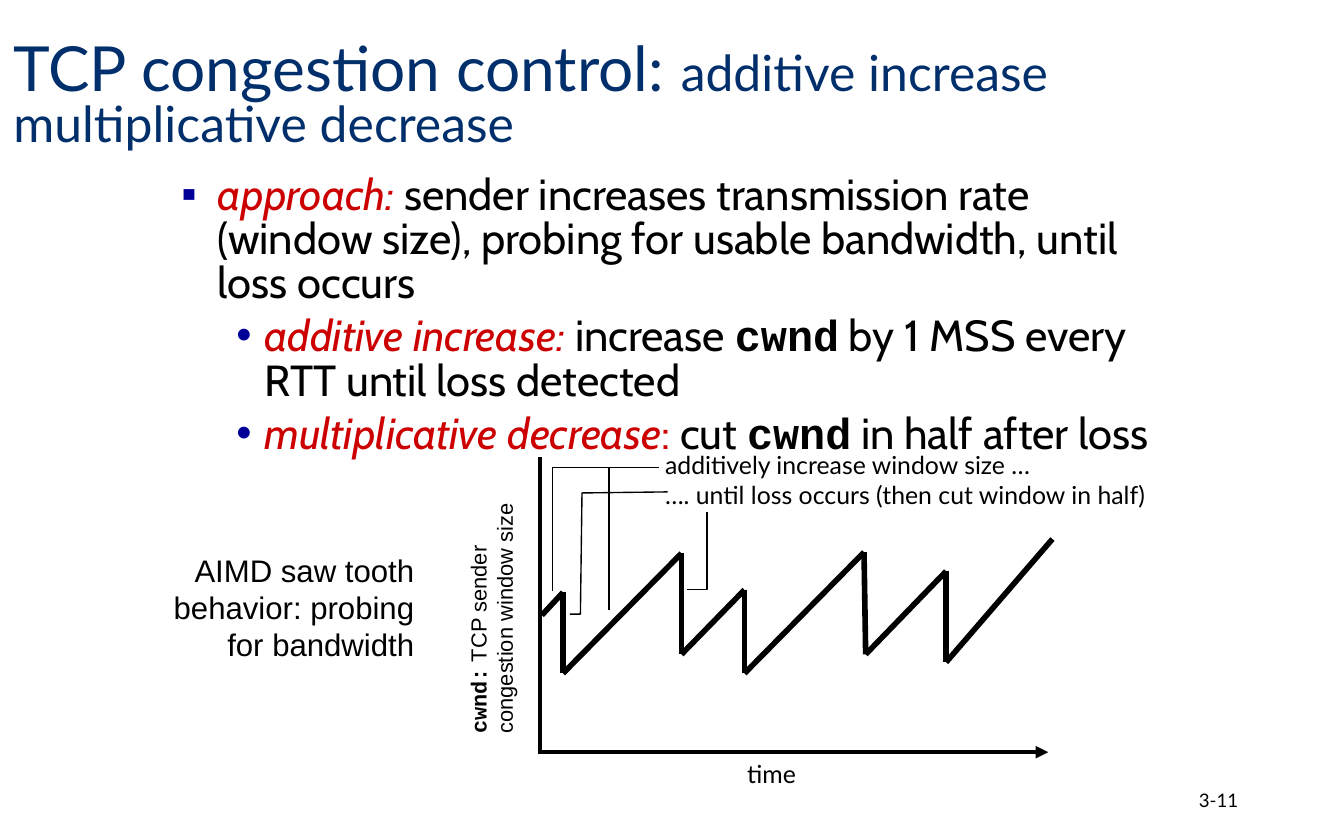
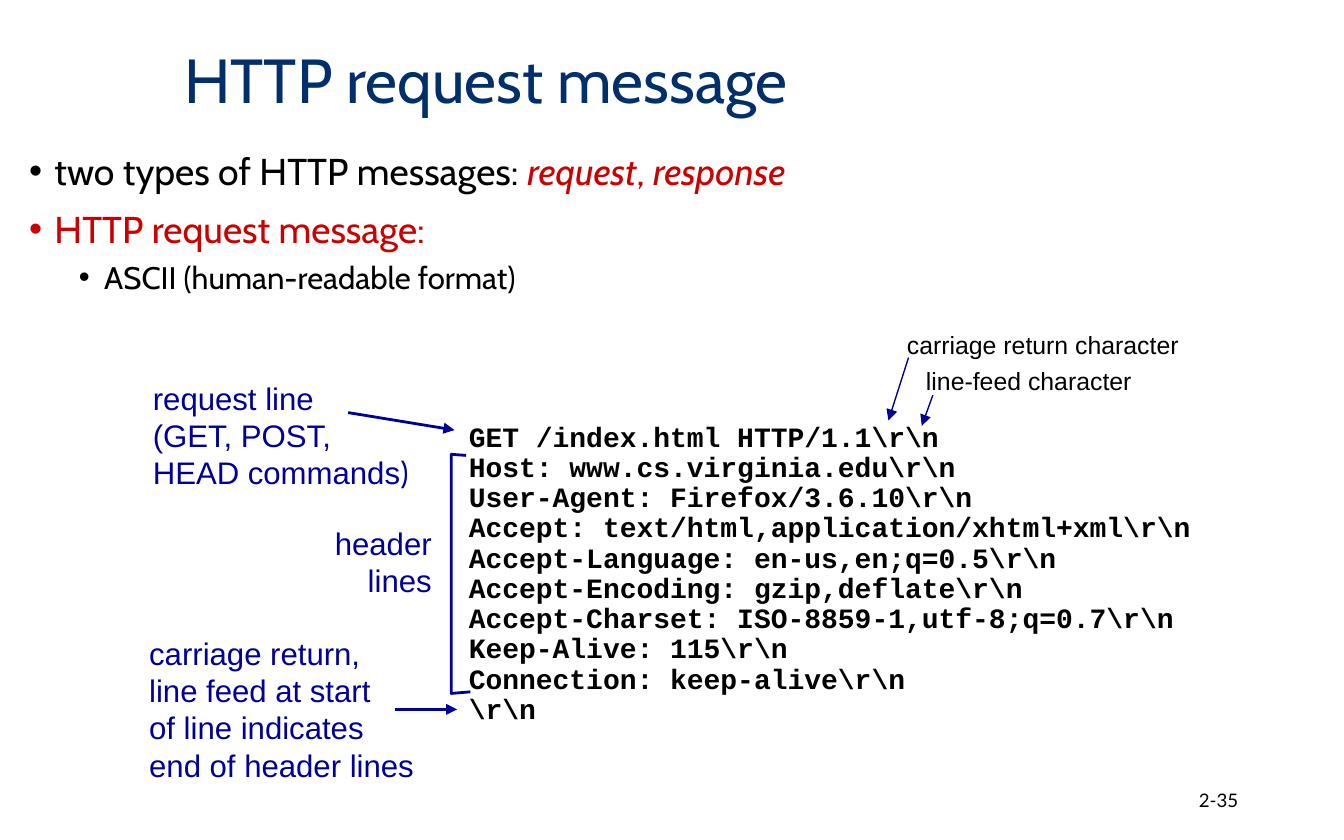
from dataclasses import dataclass, replace
from itertools import pairwise
from typing import NamedTuple

from lxml.etree import SubElement
from pptx import Presentation
from pptx.dml.color import RGBColor
from pptx.enum.shapes import MSO_CONNECTOR
from pptx.enum.text import MSO_ANCHOR, MSO_AUTO_SIZE, PP_ALIGN
from pptx.oxml.ns import qn
from pptx.util import Cm, Pt


# Theme
@dataclass(frozen=True)
class Theme:
    black: RGBColor = RGBColor(0x00, 0x00, 0x00)
    white: RGBColor = RGBColor(0xFF, 0xFF, 0xFF)
    navy: RGBColor = RGBColor(0x00, 0x2F, 0x6C)
    blue: RGBColor = RGBColor(0x00, 0x00, 0x99)
    red: RGBColor = RGBColor(0xCC, 0x00, 0x00)
    heading: str = "Lato"
    body: str = "Cabin"
    label: str = "Arial"
    code: str = "Courier New"
    title_size: float = 33.3
    subtitle_size: float = 26.7
    approach_size: float = 23.3
    body_size: float = 20
    note_size: float = 16.7
    code_size: float = 15
    label_size: float = 13.3
    axis_size: float = 11.7
    number_size: float = 10
    thin: float = 0.75
    medium: float = 1.5
    axis: float = 2.25
    thick: float = 3


THEME = Theme()


# Text and drawing records
@dataclass(frozen=True)
class Style:
    font: str
    size: float
    color: RGBColor = THEME.black
    bold: bool = False
    italic: bool = False


class Run(NamedTuple):
    text: str
    style: Style


class Bullet(NamedTuple):
    character: str
    left: float
    hanging: float
    level: int = 0
    color: RGBColor | None = None


@dataclass(frozen=True)
class Line:
    runs: tuple[Run, ...]
    bullet: Bullet | None = None
    spacing: float = 1.0
    before: float = 0
    align: PP_ALIGN = PP_ALIGN.LEFT


class Box(NamedTuple):
    left: float
    top: float
    width: float
    height: float


class Point(NamedTuple):
    x: float
    y: float


class Label(NamedTuple):
    box: Box
    lines: list[Line]


class Arrow(NamedTuple):
    start: Point
    end: Point
    width: float


# Text styles
TITLE = Style(THEME.heading, THEME.title_size, THEME.navy)
SUBTITLE = replace(TITLE, size=THEME.subtitle_size)
APPROACH = Style(THEME.body, THEME.approach_size)
APPROACH_TERM = replace(APPROACH, color=THEME.red, italic=True)
APPROACH_CODE = replace(APPROACH, font=THEME.code, bold=True)
BODY = Style(THEME.body, THEME.body_size)
BODY_RED = replace(BODY, color=THEME.red)
BODY_TERM = replace(BODY_RED, italic=True)
NOTE = Style(THEME.label, THEME.note_size)
NOTE_BLUE = replace(NOTE, color=THEME.blue)
CODE = Style(THEME.code, THEME.code_size, bold=True)
CHART_LABEL = Style(THEME.heading, THEME.label_size)
CALLOUT = Style(THEME.label, THEME.label_size)
AXIS = Style(THEME.label, THEME.axis_size)
NUMBER = Style(THEME.heading, THEME.number_size)


# Text helpers
def plain_lines(text: str, style: Style, align: PP_ALIGN = PP_ALIGN.LEFT,
                spacing: float = 1.0) -> list[Line]:
    return [Line((Run(row, style),), align=align, spacing=spacing) for row in text.split("\n")]


def add_bullet(paragraph, bullet: Bullet) -> None:
    paragraph.level = bullet.level
    properties = paragraph._p.get_or_add_pPr()
    properties.set("marL", str(Cm(bullet.left)))
    properties.set("indent", str(-Cm(bullet.hanging)))
    if bullet.color is not None:
        color = SubElement(properties, qn("a:buClr"))
        SubElement(color, qn("a:srgbClr")).set("val", str(bullet.color))
    SubElement(properties, qn("a:buFont")).set("typeface", THEME.label)
    SubElement(properties, qn("a:buChar")).set("char", bullet.character)


def write(frame, lines: list[Line]) -> None:
    for index, line in enumerate(lines):
        paragraph = frame.add_paragraph() if index else frame.paragraphs[0]
        if line.bullet:
            add_bullet(paragraph, line.bullet)
        paragraph.alignment = line.align
        paragraph.line_spacing = line.spacing
        paragraph.space_before = Pt(line.before if index else 0)
        for text, style in line.runs:
            run = paragraph.add_run()
            run.text = text
            run.font.name = style.font
            run.font.size = Pt(style.size)
            run.font.color.rgb = style.color
            run.font.bold = style.bold
            run.font.italic = style.italic


def add_text(slide, box: Box, lines: list[Line], wrap: bool = False):
    shape = slide.shapes.add_textbox(*map(Cm, box))
    frame = shape.text_frame
    frame.word_wrap = wrap
    frame.auto_size = MSO_AUTO_SIZE.NONE if wrap else MSO_AUTO_SIZE.SHAPE_TO_FIT_TEXT
    write(frame, lines)
    return shape


# Line helpers
def add_line(slide, start: Point, end: Point, width: float,
             color: RGBColor = THEME.black, arrow: bool = False) -> None:
    connector = slide.shapes.add_connector(MSO_CONNECTOR.STRAIGHT, *map(Cm, (*start, *end)))
    connector.line.color.rgb = color
    connector.line.width = Pt(width)
    if arrow:
        SubElement(connector.line._get_or_add_ln(), qn("a:tailEnd")).set("type", "triangle")
    SubElement(connector._element.spPr, qn("a:effectLst"))


def add_polyline(slide, points: list[Point], width: float, color: RGBColor = THEME.black) -> None:
    start, *others = [(Cm(x), Cm(y)) for x, y in points]
    builder = slide.shapes.build_freeform(*start)
    builder.add_line_segments(others, close=False)
    shape = builder.convert_to_shape()
    shape.shadow.inherit = False
    shape.fill.background()
    shape.line.color.rgb = color
    shape.line.width = Pt(width)


# Shared slide frame: title and page number
def add_slide(presentation, box: Box, title: Line, number: str):
    slide = presentation.slides.add_slide(presentation.slide_layouts[5])
    shape = slide.shapes.title
    shape.left, shape.top, shape.width, shape.height = map(Cm, box)
    frame = shape.text_frame
    frame.word_wrap = True
    frame.auto_size = MSO_AUTO_SIZE.NONE
    frame.vertical_anchor = MSO_ANCHOR.MIDDLE
    write(frame, [title])
    page = add_text(slide, Box(17.93, 14.71, 5.72, 0.84),
                    plain_lines(number, NUMBER, PP_ALIGN.RIGHT), wrap=True)
    page.text_frame.vertical_anchor = MSO_ANCHOR.MIDDLE
    return slide


def build_congestion_slide(presentation) -> None:
    title = Line((Run("TCP congestion control: ", TITLE),
                  Run("additive increase multiplicative decrease", SUBTITLE)), spacing=0.8)
    slide = add_slide(presentation, Box(0, 0.53, 22.22, 2.64), title, "3-11")

    # Approach
    square = Bullet("▪", 0.69, 0.69, color=THEME.blue)
    dot = Bullet("•", 1.57, 0.53, level=1, color=THEME.blue)
    approach = [
        (square, (Run("approach: ", APPROACH_TERM),
                  Run("sender increases transmission rate (window size), "
                      "probing for usable bandwidth, until loss occurs", APPROACH))),
        (dot, (Run("additive increase:", APPROACH_TERM), Run(" increase ", APPROACH),
               Run("cwnd", APPROACH_CODE),
               Run(" by 1 MSS every RTT until loss detected", APPROACH))),
        (dot, (Run("multiplicative decrease", APPROACH_TERM),
               Run(":", replace(APPROACH_TERM, italic=False)), Run(" cut ", APPROACH),
               Run("cwnd", APPROACH_CODE), Run(" in half after loss", APPROACH))),
    ]
    add_text(slide, Box(3.18, 3.18, 19.38, 3.35),
             [Line(runs, bullet, spacing=0.85, before=4.7) for bullet, runs in approach], wrap=True)

    # Axes and their labels
    axis_title = add_text(slide, Box(6.83, 11.05, 4.9, 1.24), [
        Line((Run("cwnd:", replace(AXIS, font=THEME.code, bold=True)), Run(" TCP sender", AXIS))),
        *plain_lines("congestion window size", AXIS),
    ])
    axis_title.rotation = 270
    axis_title.fill.solid()
    axis_title.fill.fore_color.rgb = THEME.white
    add_text(slide, Box(2.97, 10.29, 5.11, 2.39),
             plain_lines("AIMD saw tooth\nbehavior: probing\nfor bandwidth", NOTE, PP_ALIGN.RIGHT))
    add_line(slide, Point(10.24, 14.22), Point(19.81, 14.22), THEME.axis, arrow=True)
    add_line(slide, Point(10.21, 8.64), Point(10.21, 14.25), THEME.axis)
    add_text(slide, Box(13.87, 14.22, 1.6, 0.84), plain_lines("time", CHART_LABEL))

    # Saw tooth
    window_sizes = [
        Point(10.24, 11.63), Point(10.64, 11.2), Point(10.64, 12.73), Point(12.88, 10.46),
        Point(12.88, 12.37), Point(14.07, 11.15), Point(14.07, 12.73), Point(16.33, 10.44),
        Point(16.36, 12.37), Point(17.88, 10.8), Point(17.88, 12.52), Point(19.89, 10.19),
    ]
    for start, end in pairwise(window_sizes):
        add_line(slide, start, end, THEME.thick)

    # Phase labels and leaders
    add_text(slide, Box(12.32, 8.38, 9.96, 1.4),
             plain_lines("additively increase window size …\n"
                         "…. until loss occurs (then cut window in half)", CHART_LABEL))
    leaders = [
        [Point(12.45, 8.84), Point(10.44, 8.84), Point(10.44, 11.18)],
        [Point(12.62, 9.3), Point(11, 9.32), Point(10.97, 11.61), Point(10.77, 11.61)],
        [Point(12.45, 8.84), Point(11.51, 8.84), Point(11.51, 11.53)],
        [Point(13.36, 9.68), Point(13.36, 11.15), Point(12.98, 11.15)],
    ]
    for leader in leaders:
        add_polyline(slide, leader, THEME.thin)


def build_request_slide(presentation) -> None:
    title = Line((Run("HTTP request message", replace(TITLE, font=THEME.body)),), spacing=0.9)
    slide = add_slide(presentation, Box(3.23, 0.53, 17.98, 2.11), title, "2-35")

    # Message types
    dot = Bullet("•", 0.48, 0.48)
    sub_dot = Bullet("•", 1.42, 0.48, level=1)
    add_text(slide, Box(0.3, 2.67, 24.82, 11.63), [
        Line((Run("two types of HTTP messages: ", BODY), Run("request", BODY_TERM),
              Run(", ", BODY_RED), Run("response", BODY_TERM)), dot),
        Line((Run("HTTP request message:", BODY_RED),), dot, before=7.5),
        Line((Run("ASCII (human-readable format)", replace(BODY, size=THEME.note_size)),),
             sub_dot, before=3.8),
    ], wrap=True)

    # Request text
    request = r"""GET /index.html HTTP/1.1\r\n
Host: www.cs.virginia.edu\r\n
User-Agent: Firefox/3.6.10\r\n
Accept: text/html,application/xhtml+xml\r\n
Accept-Language: en-us,en;q=0.5\r\n
Accept-Encoding: gzip,deflate\r\n
Accept-Charset: ISO-8859-1,utf-8;q=0.7\r\n
Keep-Alive: 115\r\n
Connection: keep-alive\r\n
\r\n"""
    add_text(slide, Box(8.61, 7.87, 14.3, 6.05), plain_lines(request, CODE, spacing=0.9))

    # Annotations
    annotations = [
        Label(Box(2.64, 7.04, 5.41, 2.39), [
            *plain_lines("request line\n(GET, POST,", NOTE_BLUE),
            Line((Run("HEAD commands", NOTE_BLUE), Run(")", replace(NOTE_BLUE, font=THEME.body)))),
        ]),
        Label(Box(6.05, 9.78, 2.36, 1.68),
              plain_lines("header\nlines", NOTE_BLUE, PP_ALIGN.RIGHT)),
        Label(Box(2.57, 11.86, 5.56, 3.1),
              plain_lines("carriage return,\nline feed at start\nof line indicates\n"
                          "end of header lines", NOTE_BLUE)),
        Label(Box(16.89, 6.1, 5.72, 0.84), plain_lines("carriage return character", CALLOUT)),
        Label(Box(17.25, 6.78, 4.45, 0.84), plain_lines("line-feed character", CALLOUT)),
    ]
    for annotation in annotations:
        add_text(slide, annotation.box, annotation.lines)

    # Arrows and header bracket
    arrows = [
        Arrow(Point(6.58, 7.8), Point(8.59, 8.13), THEME.medium),
        Arrow(Point(7.47, 13.41), Point(8.64, 13.41), THEME.medium),
        Arrow(Point(17.17, 6.76), Point(16.79, 7.95), THEME.thin),
        Arrow(Point(17.63, 7.47), Point(17.42, 8.05), THEME.thin),
    ]
    for arrow in arrows:
        add_line(slide, arrow.start, arrow.end, arrow.width, THEME.blue, arrow=True)
    bracket = [Point(8.81, 8.61), Point(8.53, 8.59), Point(8.53, 13.11), Point(8.89, 13.08)]
    add_polyline(slide, bracket, THEME.medium, THEME.blue)


def main() -> None:
    presentation = Presentation()
    presentation.slide_width = Cm(25.4)
    presentation.slide_height = Cm(15.88)
    build_congestion_slide(presentation)
    build_request_slide(presentation)
    presentation.save("out.pptx")


if __name__ == "__main__":
    main()
